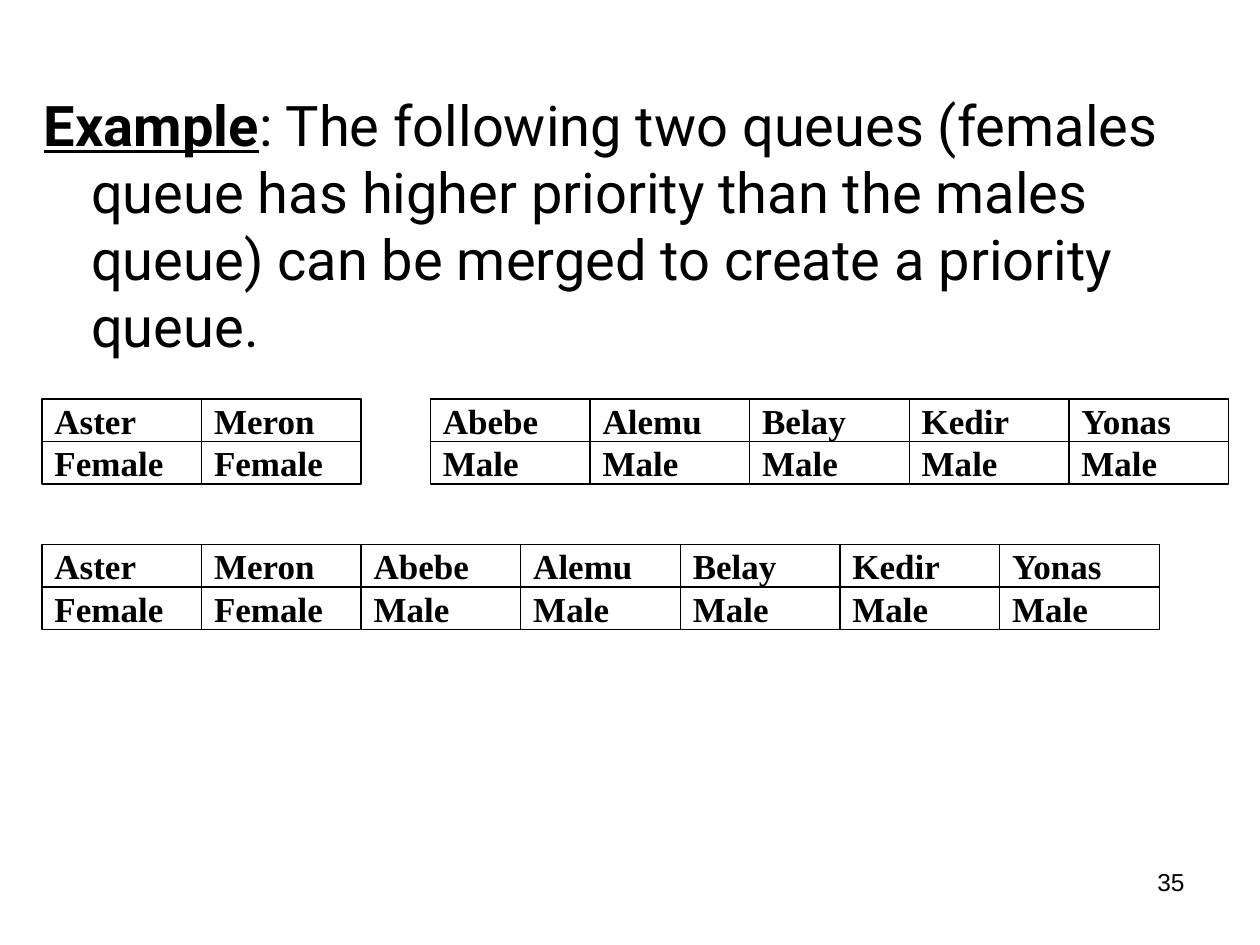
import pptx
import pptx.util
import pptx.dml.color
import pptx.enum.shapes
import pptx.enum.text

Pt = pptx.util.Pt
HUE = {"ink": "000000", "fill": "FFFFFF"}

LEAD = "Example"
REST = (": The following two queues (females queue has higher priority "
        "than the males queue) can be merged to create a priority queue.")
PAGE = "35"
GIRLS = [(name, "Female") for name in ("Aster", "Meron")]
BOYS = [(name, "Male") for name in ("Abebe", "Alemu", "Belay", "Kedir", "Yonas")]
QUEUES = [
    (24, 228, GIRLS),
    (246, 228, BOYS),
    (24, 311.2, GIRLS + BOYS),
]
WIDE, HIGH = 91.2, 24.3


def tint(key):
    return pptx.dml.color.RGBColor.from_string(HUE[key])


def style(run, face, size, bold=False):
    run.font.name = face
    run.font.size = Pt(size)
    run.font.bold = bold
    run.font.color.rgb = tint("ink")


def add_box(slide, left, top, width, height):
    box = slide.shapes.add_textbox(Pt(left), Pt(top), Pt(width), Pt(height))
    box.text_frame.word_wrap = True
    return box.text_frame.paragraphs[0]


def add_cell(group, left, top, text):
    cell = group.shapes.add_shape(pptx.enum.shapes.MSO_SHAPE.RECTANGLE,
                                  Pt(left), Pt(top), Pt(WIDE), Pt(HIGH))
    cell.shadow.inherit = False
    cell.fill.solid()
    cell.fill.fore_color.rgb = tint("fill")
    cell.line.color.rgb = tint("ink")
    cell.line.width = Pt(0.75)
    frame = cell.text_frame
    frame.text = text
    frame.word_wrap = True
    frame.margin_top = frame.margin_bottom = 0
    frame.vertical_anchor = pptx.enum.text.MSO_ANCHOR.TOP
    para = frame.paragraphs[0]
    para.alignment = pptx.enum.text.PP_ALIGN.LEFT
    style(para.runs[0], "Times New Roman", 20, True)


def main():
    deck = pptx.Presentation()
    deck.slide_width, deck.slide_height = Pt(720), Pt(540)
    slide = deck.slides.add_slide(deck.slide_layouts[6])

    page = add_box(slide, 516, 492, 168, 37.5)
    page.text = PAGE
    page.alignment = pptx.enum.text.PP_ALIGN.RIGHT
    style(page.runs[0], "Arial", 14)

    body = add_box(slide, 18, 48, 690, 492)
    props = body._p.get_or_add_pPr()
    props.set("marL", str(Pt(27)))
    props.set("indent", str(Pt(-27)))
    for text, bold in ((LEAD, True), (REST, False)):
        run = body.add_run()
        run.text = text
        style(run, "Roboto", 32, bold)
        run.font.underline = bold

    for left, top, queue in QUEUES:
        group = slide.shapes.add_group_shape()
        for col, pair in enumerate(queue):
            for row, text in enumerate(pair):
                add_cell(group, left + col * WIDE, top + row * HIGH, text)

    deck.save("out.pptx")


if __name__ == "__main__":
    main()
